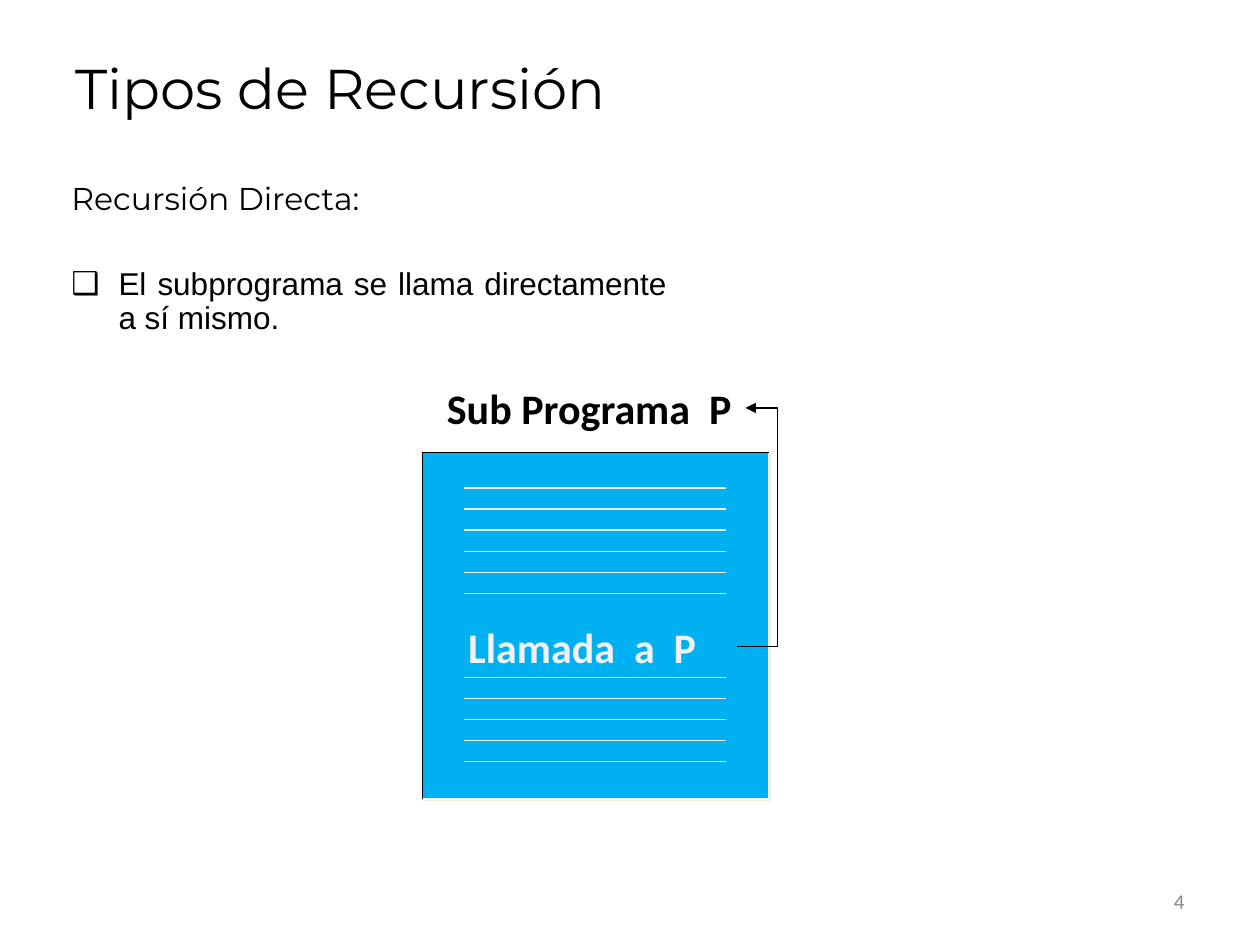
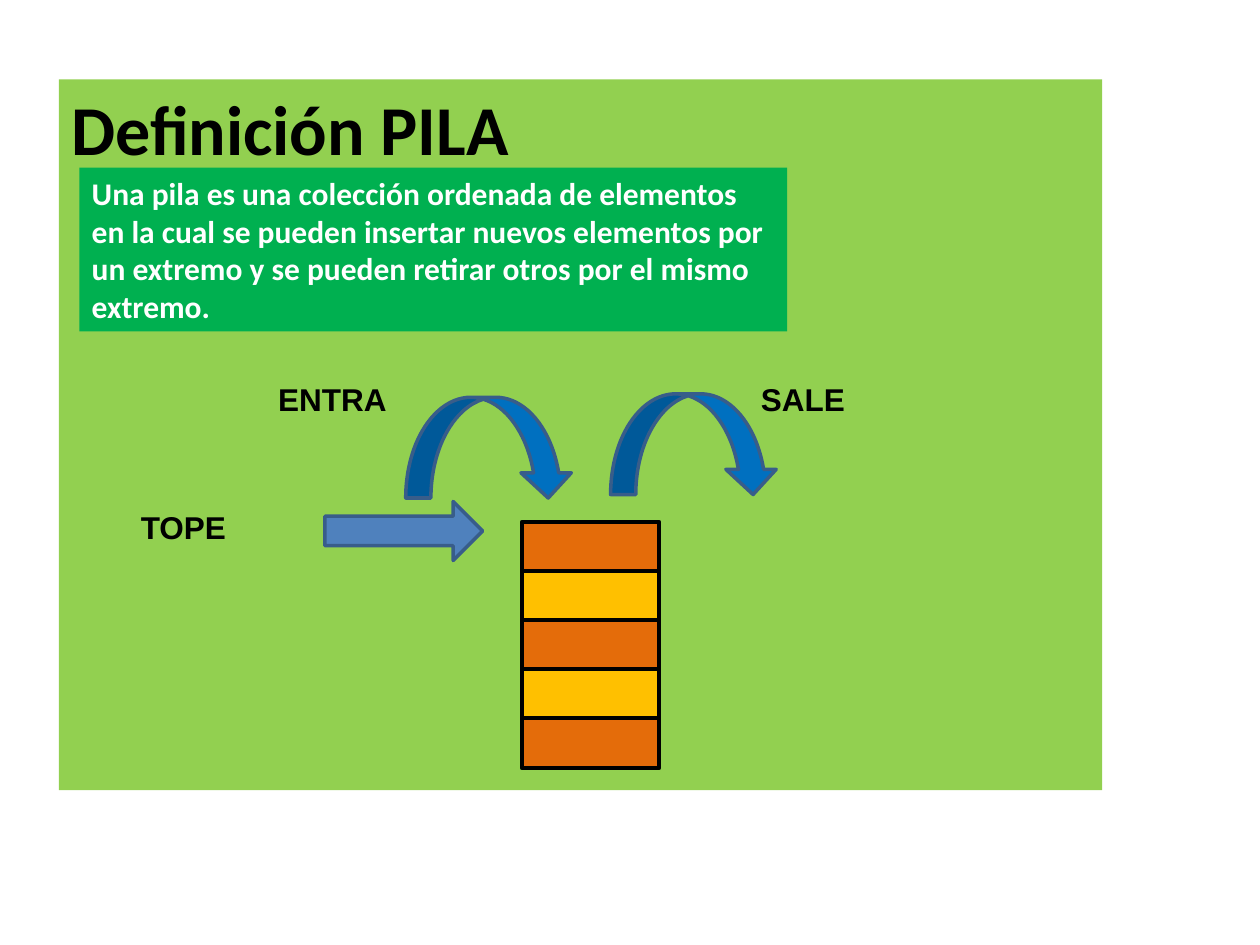
from dataclasses import dataclass

from lxml import etree
from pptx import Presentation
from pptx.dml.color import RGBColor
from pptx.enum.shapes import MSO_CONNECTOR, MSO_SHAPE
from pptx.enum.text import MSO_ANCHOR, MSO_AUTO_SIZE, PP_ALIGN
from pptx.oxml.ns import qn
from pptx.util import Cm, Pt

RECT = MSO_SHAPE.RECTANGLE
RIGHT_ARROW = MSO_SHAPE.RIGHT_ARROW
CURVE = MSO_SHAPE.CURVED_DOWN_ARROW
LINE, ELBOW = MSO_CONNECTOR.STRAIGHT, MSO_CONNECTOR.ELBOW
LEFT, RIGHT, FULL = PP_ALIGN.LEFT, PP_ALIGN.RIGHT, PP_ALIGN.JUSTIFY
TOP, MIDDLE = MSO_ANCHOR.TOP, MSO_ANCHOR.MIDDLE
FIXED = MSO_AUTO_SIZE.NONE

# Shared colours and fonts
BLACK, WHITE, GREY, PALE = "000000", "FFFFFF", "898989", "F2F2F2"
CREAM, SKY, LIME, GREEN = "EEECE1", "00B0F0", "92D050", "00B050"
GOLD, ORANGE = "FFC000", "E46C0A"
BLUE, STEEL, NAVY = "0070C0", "4F81BD", "385D8A"
SANS, BODY, HEAD = "Arial", "Calibri", "Montserrat"


@dataclass(frozen=True)
class Box:
    """Place and size in centimetres."""
    x: float
    y: float
    w: float
    h: float

    def emu(self) -> tuple:
        return Cm(self.x), Cm(self.y), Cm(self.w), Cm(self.h)


@dataclass(frozen=True)
class Style:
    font: str
    size: float
    tint: str = BLACK
    bold: bool = False


@dataclass(frozen=True)
class Label:
    text: str
    box: Box
    style: Style
    align: PP_ALIGN = LEFT
    anchor: MSO_ANCHOR = TOP
    wrap: bool = True


@dataclass(frozen=True)
class Form:
    kind: MSO_SHAPE
    box: Box
    fill: str
    line: str = ""
    width: float = 0.75


TITLE = Style(HEAD, 32)
LEAD = Style(HEAD, 18)
POINT = Style(SANS, 18)
TAG = Style(SANS, 18, bold=True)
CODE = Style(BODY, 24, bold=True)


def tint(code: str) -> RGBColor:
    return RGBColor.from_string(code)


def add_run(para, text: str, style: Style) -> None:
    run = para.add_run()
    run.text = text
    font = run.font
    font.name, font.size, font.bold = style.font, Pt(style.size), style.bold
    font.color.rgb = tint(style.tint)


def set_frame(frame, anchor: MSO_ANCHOR = TOP, wrap: bool = True) -> None:
    frame.word_wrap = wrap
    frame.auto_size = FIXED
    frame.vertical_anchor = anchor


def add_label(slide, label: Label):
    shape = slide.shapes.add_textbox(*label.box.emu())
    set_frame(shape.text_frame, label.anchor, label.wrap)
    para = shape.text_frame.paragraphs[0]
    para.alignment = label.align
    add_run(para, label.text, label.style)
    return shape


def add_form(slide, form: Form):
    shape = slide.shapes.add_shape(form.kind, *form.box.emu())
    shape.shadow.inherit = False
    shape.fill.solid()
    shape.fill.fore_color.rgb = tint(form.fill)
    if form.line:
        shape.line.color.rgb = tint(form.line)
        shape.line.width = Pt(form.width)
    else:
        shape.line.fill.background()
    return shape


def add_panel(slide, form: Form, text: str, style: Style, align: PP_ALIGN) -> None:
    frame = add_form(slide, form).text_frame
    set_frame(frame)
    para = frame.paragraphs[0]
    para.alignment = align
    add_run(para, text, style)


def add_line(slide, x1: float, y1: float, x2: float, y2: float,
             code: str, kind: MSO_CONNECTOR = LINE):
    line = slide.shapes.add_connector(kind, Cm(x1), Cm(y1), Cm(x2), Cm(y2))
    line.line.color.rgb = tint(code)
    line.line.width = Pt(0.75)
    etree.SubElement(line._element.spPr, qn("a:effectLst"))
    return line


def add_shade(shape, code: str) -> None:
    """Hard shadow, 1.4 pt down to the right."""
    effects = shape._element.spPr.find(qn("a:effectLst"))
    shade = etree.SubElement(effects, qn("a:outerShdw"), dist=str(Pt(1.4)),
                             dir="2700000", algn="ctr", rotWithShape="0")
    etree.SubElement(shade, qn("a:srgbClr"), val=code)


def add_bullet(para, mark: str, indent: float) -> None:
    props = para._p.get_or_add_pPr()
    props.set("marL", str(Cm(indent)))
    props.set("indent", str(-Cm(indent)))
    paint = etree.SubElement(props, qn("a:buClr"))
    etree.SubElement(paint, qn("a:srgbClr"), val=BLACK)
    etree.SubElement(props, qn("a:buFont"), typeface=SANS)
    etree.SubElement(props, qn("a:buChar"), char=mark)


def join_elbow(slide, start, end, bend: float) -> None:
    """Arrow from right side to right side, turning at x = bend."""
    line = add_line(slide, 0, 0, 1, 1, BLACK, ELBOW)
    line.begin_connect(start, 3)
    line.end_connect(end, 3)
    ratio = (Cm(bend) - line.begin_x) / (line.end_x - line.begin_x)
    values = line._element.spPr.find(qn("a:prstGeom")).find(qn("a:avLst"))
    etree.SubElement(values, qn("a:gd"), name="adj1",
                     fmla=f"val {round(ratio * 100000)}")
    stroke = line.line._get_or_add_ln()
    etree.SubElement(stroke, qn("a:tailEnd"), type="triangle")


def draw_types(slide) -> None:
    add_label(slide, Label("4", Box(18.21, 17.65, 5.92, 1.02),
                           Style(BODY, 12, GREY), RIGHT, MIDDLE))
    add_label(slide, Label("Tipos de Recursión", Box(1.27, 0.76, 14.02, 2.01),
                           TITLE, anchor=MIDDLE))

    # Lead and bullet point
    lead = add_label(slide, Label("Recursión Directa:",
                                  Box(1.19, 3.58, 12.5, 3.76), LEAD, FULL))
    frame = lead.text_frame
    frame.paragraphs[0].line_spacing = 0.9
    point = frame.add_paragraph()
    point.alignment, point.line_spacing = FULL, 0.9
    point.space_before = Pt(29)
    add_bullet(point, "❑", 0.95)
    add_run(point, "El subprograma se llama directamente a sí mismo.", POINT)

    # Program block, with a gap in its code lines for the call
    block = Box(8.51, 9.12, 6.99, 6.99)
    add_shade(add_form(slide, Form(RECT, block, SKY, WHITE)), CREAM)
    first, last, count = 9.84, 15.35, 14
    step = (last - first) / (count - 1)
    for row in range(count):
        if row not in (6, 7, 8):
            y = first + row * step
            add_line(slide, 9.35, y, 14.63, y, CREAM)

    # Call that goes back to the program name
    call = add_label(slide, Label("Llamada  a  P", Box(9.19, 12.4, 5.66, 1.27),
                                  Style(BODY, 24, PALE, True)))
    name = add_label(slide, Label("Sub Programa  P", Box(8.76, 7.59, 6.27, 1.27),
                                  CODE, wrap=False))
    join_elbow(slide, call, name, 15.67)

    # Dark left and top edges
    add_line(slide, block.x, block.y + block.h, block.x, block.y, BLACK)
    add_line(slide, block.x, block.y, block.x + block.w, block.y, BLACK)


def draw_stack(slide) -> None:
    # Panels
    add_panel(slide, Form(RECT, Box(1.19, 1.6, 21.03, 14.33), LIME),
              "Definición PILA", Style(BODY, 40, bold=True), FULL)
    add_panel(slide, Form(RECT, Box(1.6, 3.38, 14.27, 3.3), GREEN),
              "Una pila es una colección ordenada de elementos en la cual se "
              "pueden insertar nuevos elementos por un extremo y se pueden "
              "retirar otros por el mismo extremo.",
              Style(BODY, 18, WHITE, True), LEFT)

    # Stack cells
    for row in range(5):
        cell = Box(10.52, 10.52 + row * 0.99, 2.77, 1.01)
        add_form(slide, Form(RECT, cell, GOLD if row % 2 else ORANGE, BLACK, 2.25))

    # Arrows in, out and at the top
    for x, y in ((8.18, 8.01), (12.31, 7.94)):
        add_form(slide, Form(CURVE, Box(x, y, 3.38, 2.03), BLUE, NAVY, 2))
    add_form(slide, Form(RIGHT_ARROW, Box(6.55, 10.11, 3.18, 1.19),
                         STEEL, NAVY, 2))
    for text, x, y in (("ENTRA", 5.36, 7.54), ("SALE", 15.09, 7.54),
                       ("TOPE", 2.59, 10.11)):
        add_label(slide, Label(text, Box(x, y, 3.58, 1.02), TAG))


def main() -> None:
    deck = Presentation()
    deck.slide_width, deck.slide_height = Cm(25.4), Cm(19.05)
    blank = deck.slide_layouts[6]
    for draw in (draw_types, draw_stack):
        draw(deck.slides.add_slide(blank))
    deck.save("out.pptx")


if __name__ == "__main__":
    main()
